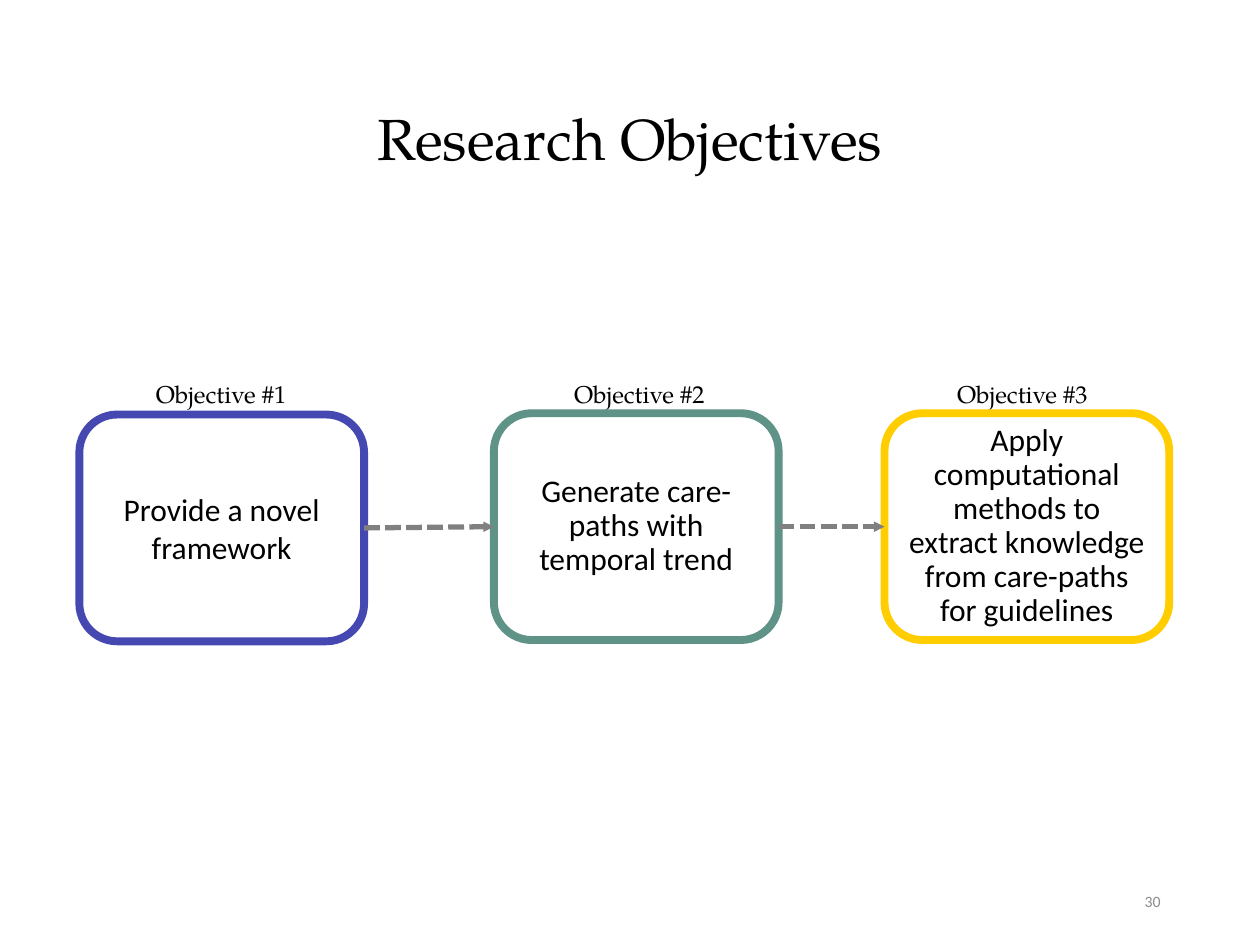
from lxml import etree
from pptx import Presentation, util as u
from pptx.dml.color import RGBColor
from pptx.enum import dml, shapes, text
from pptx.oxml.ns import qn

COLORS = {"text": "000000", "arrow": "808080", "number": "8C8C8C",
          "blue": "4548B1", "green": "609387", "yellow": "FFCD00"}
SERIF, SANS = "TeX Gyre Pagella", "Calibri"
CENTER, RIGHT = text.PP_ALIGN.CENTER, text.PP_ALIGN.RIGHT
MIDDLE, TOP = text.MSO_ANCHOR.MIDDLE, text.MSO_ANCHOR.TOP

TITLE = "Research Objectives"
PAGE = "30"
OBJECTIVES = [
    ("Objective #1", "Provide a novel framework", "blue", 0.63, 3.29, 0.94, 1),
    ("Objective #2", "Generate care-paths with temporal trend", "green", 3.92, 3.28, 4.26, 0.9),
    ("Objective #3", "Apply computational methods to extract knowledge from care-paths for guidelines",
     "yellow", 7.02, 3.28, 7.3, 0.9),
]
BOX_W, BOX_H = 2.26, 1.8
LABEL_TOP, LABEL_W, LABEL_H = 2.96, 1.63, 0.32


def rgb(name):
    return RGBColor.from_string(COLORS[name])


def write(sp, words, size, font, color="text", align=CENTER, anchor=MIDDLE, spacing=1, inset=0.1):
    tf = sp.text_frame
    tf.word_wrap = True
    tf.vertical_anchor = anchor
    tf.margin_left = tf.margin_right = u.Inches(0.1)
    tf.margin_top = tf.margin_bottom = u.Inches(inset)
    p = tf.paragraphs[0]
    p.alignment = align
    p.line_spacing = spacing
    r = p.add_run()
    r.text = words
    r.font.size = u.Pt(size)
    r.font.name = font
    r.font.color.rgb = rgb(color)


def add_textbox(s, box, *args, **kwargs):
    write(s.shapes.add_textbox(*map(u.Inches, box)), *args, **kwargs)


def add_box(s, left, top, color):
    sp = s.shapes.add_shape(shapes.MSO_SHAPE.FLOWCHART_ALTERNATE_PROCESS,
                            *map(u.Inches, (left, top, BOX_W, BOX_H)))
    sp.shadow.inherit = False
    sp.fill.background()
    sp.line.color.rgb = rgb(color)
    sp.line.width = u.Pt(4.5)
    return sp


def add_arrow(s, start, end):
    c = s.shapes.add_connector(shapes.MSO_CONNECTOR.STRAIGHT, 0, 0, 0, 0)
    c.begin_connect(start, 3)
    c.end_connect(end, 1)
    c.line.color.rgb = rgb("arrow")
    c.line.width = u.Pt(3)
    c.line.dash_style = dml.MSO_LINE.SQUARE_DOT
    etree.SubElement(c.line._get_or_add_ln(), qn("a:tailEnd"), type="triangle", w="sm", len="sm")
    etree.SubElement(c._element.spPr, qn("a:effectLst"))


def main():
    prs = Presentation()
    prs.slide_width, prs.slide_height = u.Inches(10), u.Inches(7.5)
    s = prs.slides.add_slide(prs.slide_layouts[6])

    add_textbox(s, (0.69, 0.4, 8.62, 1.45), TITLE, 33, SERIF, spacing=0.9)

    boxes = []
    for label, words, color, left, top, label_left, spacing in OBJECTIVES:
        add_textbox(s, (label_left, LABEL_TOP, LABEL_W, LABEL_H), label, 13.9, SERIF,
                    anchor=TOP, inset=0.05)
        sp = add_box(s, left, top, color)
        write(sp, words, 18, SANS, spacing=spacing)
        boxes.append(sp)
    for start, end in zip(boxes, boxes[1:]):
        add_arrow(s, start, end)

    add_textbox(s, (7.06, 6.95, 2.25, 0.4), PAGE, 9, SANS, "number", RIGHT, inset=0.05)
    prs.save("out.pptx")


if __name__ == "__main__":
    main()
